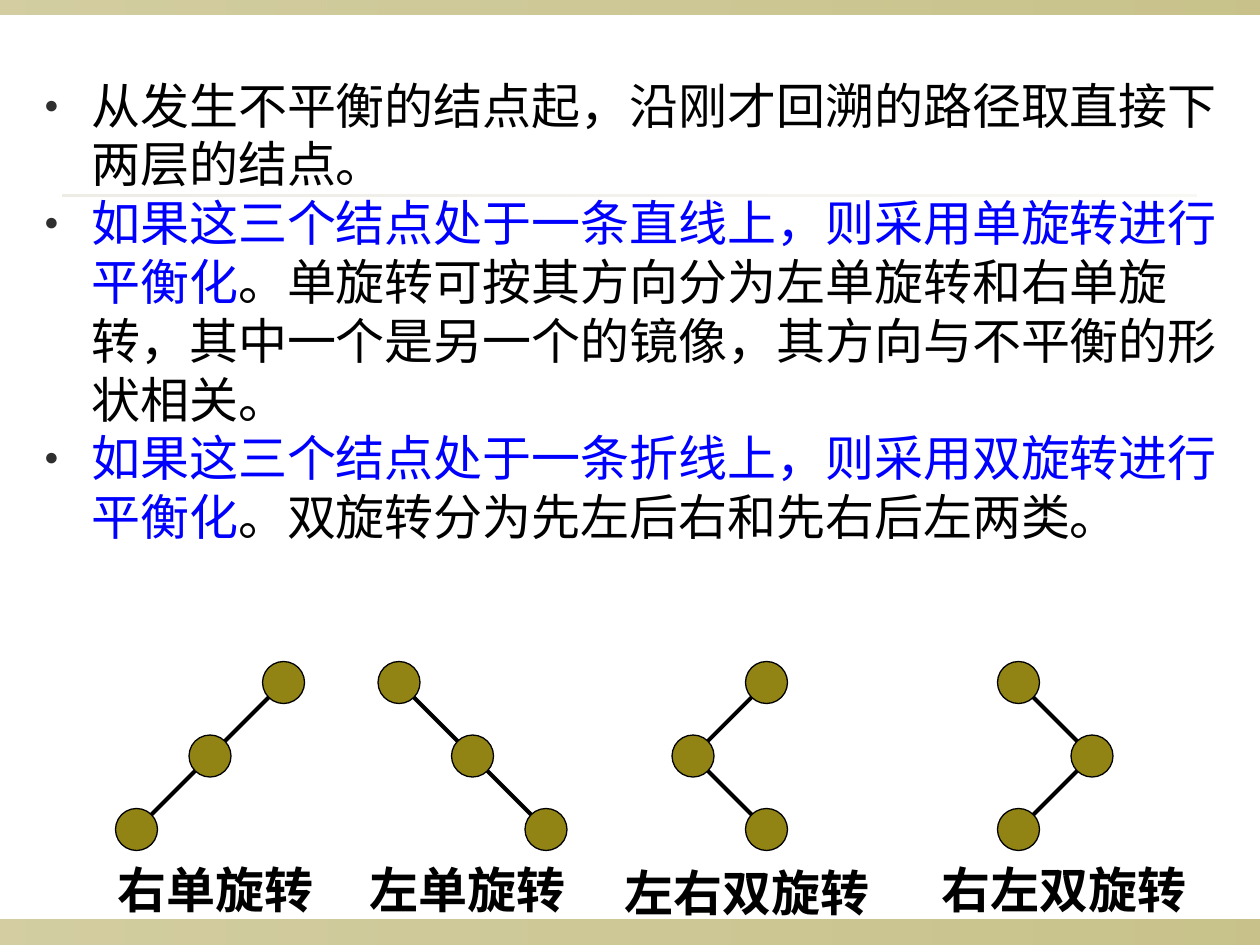
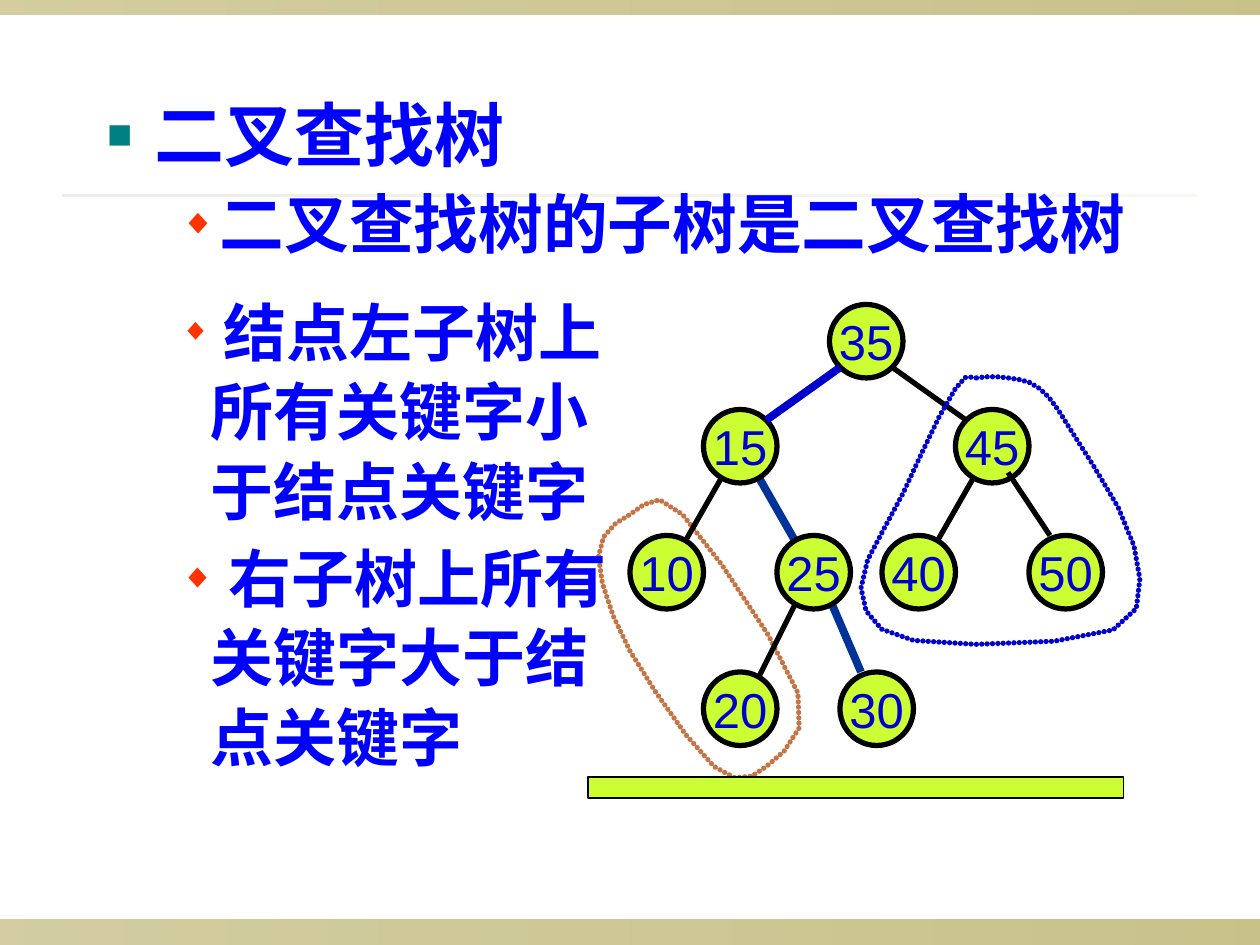
from dataclasses import dataclass

from lxml import etree
from pptx import Presentation
from pptx.dml.color import RGBColor as RGB
from pptx.enum.shapes import MSO_CONNECTOR as CONN, MSO_SHAPE as SHAPE
from pptx.enum.text import MSO_ANCHOR as ANCHOR, MSO_AUTO_SIZE as FIT, PP_ALIGN as ALIGN
from pptx.oxml.ns import qn
from pptx.util import Pt


@dataclass(frozen=True)
class Theme:
    # colours
    olive: str = "918415"
    rule: str = "DCD9CC"
    black: str = "000000"
    blue: str = "0000FF"
    key_blue: str = "0000CC"
    search_blue: str = "003399"
    lime: str = "CCFF33"
    copper: str = "C47546"
    dot: str = "2F2F2F"
    teal: str = "008080"
    red: str = "FF3300"
    # fonts and sizes
    cjk: str = "Noto Sans CJK SC"
    serif: str = "Times New Roman"
    sans: str = "Arial"
    text: int = 28
    heading: int = 40
    subheading: int = 37
    point: int = 36
    gap: int = 32
    leading: float = 1.2


T = Theme()


# Formatting helpers
def set_attrs(obj, **values):
    for name, value in values.items():
        setattr(obj, name, value)


def add_run(p, text, color, size=T.text, font=T.cjk, bold=False):
    r = p.add_run()
    r.text = text
    set_attrs(r.font, size=Pt(size), name=font, bold=bold)
    r.font.color.rgb = RGB.from_string(color)
    etree.SubElement(r._r.get_or_add_rPr(), qn("a:ea"), typeface=T.cjk)


def set_spacing(p, size, factor=1.0, before=0):
    set_attrs(p, line_spacing=Pt(round(size * T.leading * factor, 1)),
              space_before=Pt(before), space_after=Pt(0))


def set_bullet(p, char, color, percent, left, hang):
    pPr = p._p.get_or_add_pPr()
    for name, value in dict(marL=Pt(left), indent=-Pt(hang), hangingPunct=0).items():
        pPr.set(name, str(value))
    clr = etree.SubElement(pPr, qn("a:buClr"))
    etree.SubElement(clr, qn("a:srgbClr"), val=color)
    etree.SubElement(pPr, qn("a:buSzPct"), val=str(percent * 1000))
    etree.SubElement(pPr, qn("a:buChar"), char=char)


def paint(sp, fill=None, line=None, width=0.75):
    sp.shadow.inherit = False
    if fill:
        sp.fill.solid()
        sp.fill.fore_color.rgb = RGB.from_string(fill)
    else:
        sp.fill.background()
    sp.line.color.rgb = RGB.from_string(line)
    sp.line.width = Pt(width)


# Kinds of element
def add_band(slide, box, color, alphas):
    sp = slide.shapes.add_shape(SHAPE.RECTANGLE, *map(Pt, box))
    sp.shadow.inherit = False
    sp.line.fill.background()
    sp.fill.gradient()
    sp.fill.gradient_angle = 0
    for stop in sp.fill.gradient_stops:
        stop.color.rgb = RGB.from_string(color)
    for clr, alpha in zip(sp._element.spPr.iter(qn("a:srgbClr")), alphas):
        etree.SubElement(clr, qn("a:alpha"), val=str(alpha * 1000))


def add_slide(prs, layout):
    slide = prs.slides.add_slide(prs.slide_layouts[layout])
    title = slide.shapes.title._element
    title.getparent().remove(title)
    add_band(slide, (0, 525.75, 720, 14.25), T.olive, (40, 50))
    add_band(slide, (0, 0, 720, 8.4), T.olive, (40, 50))
    add_band(slide, (36, 110.9, 648, 1.44), T.rule, (50, 20))
    return slide


def fill_list(slide, idx, box, items):
    """Each item: runs, spacing, bullet and level."""
    sp = slide.placeholders[idx]
    left, top, width, height = map(Pt, box)
    set_attrs(sp, left=left, top=top, width=width, height=height)
    slide.shapes._spTree.append(sp._element)  # bring above the bands
    tf = sp.text_frame
    set_attrs(tf, word_wrap=True, auto_size=FIT.NONE, vertical_anchor=ANCHOR.TOP)
    for i, (runs, spacing, bullet, level) in enumerate(items):
        p = tf.add_paragraph() if i else tf.paragraphs[0]
        set_attrs(p, level=level, alignment=ALIGN.LEFT)
        set_spacing(p, *spacing)
        set_bullet(p, *bullet)
        for run in runs:
            add_run(p, **run)


def add_edge(slide, start, end, color=T.black, width=3.0):
    c = slide.shapes.add_connector(CONN.STRAIGHT, *map(Pt, (*start, *end)))
    c.line.color.rgb = RGB.from_string(color)
    c.line.width = Pt(width)
    etree.SubElement(c._element.spPr, qn("a:effectLst"))


def add_node(slide, center, size, fill, width, key=None):
    x, y = center
    sp = slide.shapes.add_shape(SHAPE.OVAL, Pt(x - size / 2), Pt(y - size / 2),
                                Pt(size), Pt(size))
    paint(sp, fill, T.black, width)
    if key:
        tf = sp.text_frame
        set_attrs(tf, word_wrap=False, vertical_anchor=ANCHOR.MIDDLE)
        p = tf.paragraphs[0]
        p.alignment = ALIGN.CENTER
        add_run(p, key, T.key_blue, font=T.sans)


def add_label(slide, text, left, top, width):
    sp = slide.shapes.add_textbox(Pt(left), Pt(top), Pt(width), Pt(41))
    sp.text_frame.word_wrap = False
    p = sp.text_frame.paragraphs[0]
    set_spacing(p, T.text)
    add_run(p, text, T.black, font=T.serif, bold=True)


def add_loop(slide, start, curves, color, steps=3):
    """Dotted closed outline through cubic curves."""
    points, a = [], start
    for b, c, d in curves:
        for t in (n / steps for n in range(1, steps + 1)):
            u = 1 - t
            weights = (u ** 3, 3 * u * u * t, 3 * u * t * t, t ** 3)
            points.append(tuple(Pt(sum(w * q[k] for w, q in zip(weights, (a, b, c, d))))
                                for k in (0, 1)))
        a = d
    builder = slide.shapes.build_freeform(*map(Pt, start))
    builder.add_line_segments(points[:-1], close=True)
    sp = builder.convert_to_shape()
    paint(sp, None, color, 3)
    # touching round dots
    ln = sp.line._get_or_add_ln()
    ln.set("cap", "rnd")
    dash = etree.SubElement(ln, qn("a:custDash"))
    etree.SubElement(dash, qn("a:ds"), d="100000", sp="2000")
    etree.SubElement(ln, qn("a:round"))


# Slides
def rotation_slide(prs):
    slide = add_slide(prs, 1)
    paragraphs = [
        ("", "从发生不平衡的结点起，沿刚才回溯的路径取直接下两层的结点。"),
        ("如果这三个结点处于一条直线上，则采用单旋转进行平衡化",
         "。单旋转可按其方向分为左单旋转和右单旋转，其中一个是另一个的镜像，其方向与不平衡的形状相关。"),
        ("如果这三个结点处于一条折线上，则采用双旋转进行平衡化",
         "。双旋转分为先左后右和先右后左两类。"),
    ]
    items = []
    for key, rest in paragraphs:
        runs = [dict(text=s, color=c) for s, c in ((key, T.blue), (rest, T.black)) if s]
        items.append((runs, (T.text,), ("●", T.dot, 50, 27, 27), 0))
    fill_list(slide, 1, (18, 39.4, 702, 304), items)

    # Three-node trees: root x, sideways steps, edges, label and its place
    step, root_y = 42, 390
    trees = [
        (162, (0, -1, -2), [((156, 396), (84, 468))], "右单旋转", (60, 487.6, 126)),
        (228, (0, 1, 2), [((234, 396), (306, 468))], "左单旋转", (204, 487.6, 126)),
        (438, (0, -1, 0), [((402, 438), (438, 474)), ((402, 426), (438, 390))],
         "左右双旋转", (350, 489.2, 154)),
        (582, (0, 1, 0), [((588, 468), (624, 432)), ((588, 396), (624, 432))],
         "右左双旋转", (531, 487.6, 154)),
    ]
    for root_x, shifts, edges, name, place in trees:
        for start, end in edges:
            add_edge(slide, start, end, width=2.25)
        for i, shift in enumerate(shifts):
            center = (root_x + shift * step, root_y + i * step)
            add_node(slide, center, 24, T.olive, 0.75)
        add_label(slide, name, *place)


def search_tree_slide(prs):
    slide = add_slide(prs, 3)

    # Keys that lie left of the search route
    add_loop(slide, (342, 318), [
        ((342, 305), (352, 298), (360, 294)), ((368, 290), (374, 277), (390, 294)),
        ((406, 311), (448, 372), (456, 396)), ((464, 420), (446, 431), (438, 438)),
        ((430, 445), (421, 449), (408, 438)), ((395, 427), (371, 391), (360, 372)),
        ((349, 352), (342, 331), (342, 318))], T.copper)

    # Lower edges, under the nodes
    route = (T.search_blue, 4.5)
    for start, end, *style in [
        ((558, 270), (534, 312)), ((474, 342), (492, 384), *route),
        ((456, 342), (432, 390)), ((414, 270), (390, 312)),
        ((432, 270), (456, 312), *route),
    ]:
        add_edge(slide, start, end, *style)

    # Heading list
    style = dict(color=T.blue, bold=True)
    fill_list(slide, 1, (54, 53.6, 618, 108), [
        ([dict(text="二叉查找树", size=T.heading, **style)],
         (T.heading, 0.9, 10), ("■", T.teal, 60, 27, 27), 0),
        ([dict(text="二叉查找树的子树是二叉查找树", size=T.subheading, **style)],
         (T.subheading, 0.9, 9.2), ("◆", T.red, 55, 64.5, 22.5), 1),
    ])

    # Nodes, one row per level
    rows = {195: {"35": 495},
            255: {"15": 423, "45": 567},
            327: {"10": 381, "25": 465, "40": 525, "50": 609},
            405: {"20": 423, "30": 501}}
    for y, row in rows.items():
        for key, x in row.items():
            add_node(slide, (x, y), 42, T.lime, 3, key)

    # Upper edges, over the nodes
    add_edge(slide, (480, 210), (438, 240), T.key_blue, 4.5)
    add_edge(slide, (510, 210), (552, 240))
    add_edge(slide, (576, 270), (600, 306))

    # Ordering rules
    spacing, bullet = (T.point, 1.05, 4.5), ("◆", T.red, 55, 17.4, 17.4)
    fill_list(slide, 2, (95.7, 161.7, 259, 372), [
        ([dict(text=" ", color=T.key_blue, size=T.gap, font=T.serif, bold=True),
          dict(text="结点左子树上所有关键字小于结点关键字", size=T.point, **style)],
         spacing, bullet, 0),
        ([dict(text=" 右子树上所有关键字大于结点关键字", size=T.point, **style)],
         spacing, bullet, 0),
    ])

    bar = slide.shapes.add_shape(SHAPE.RECTANGLE, Pt(336), Pt(444), Pt(306), Pt(12))
    paint(bar, T.lime, T.black)

    # Right subtree of the root
    add_loop(slide, (558, 216), [
        ((563, 215), (570, 215), (576, 216)), ((582, 217), (588, 217), (594, 222)),
        ((600, 227), (603, 231), (612, 246)), ((621, 261), (644, 293), (648, 312)),
        ((652, 331), (657, 351), (636, 360)), ((615, 369), (546, 370), (522, 366)),
        ((498, 362), (493, 350), (492, 336)), ((491, 322), (507, 301), (516, 282)),
        ((525, 263), (538, 233), (546, 222)), ((554, 211), (553, 217), (558, 216))],
        T.key_blue)


def main():
    prs = Presentation()
    set_attrs(prs, slide_width=Pt(720), slide_height=Pt(540))
    rotation_slide(prs)
    search_tree_slide(prs)
    prs.save("out.pptx")


if __name__ == "__main__":
    main()
